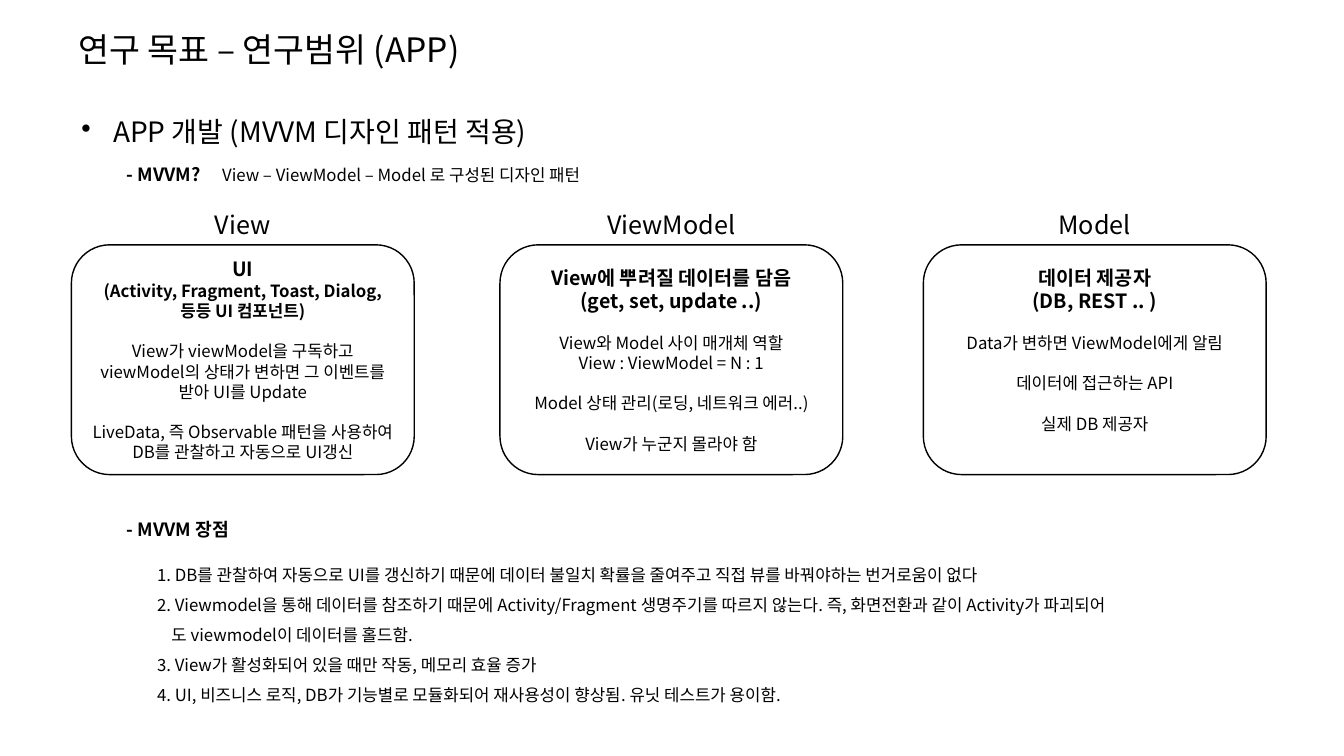
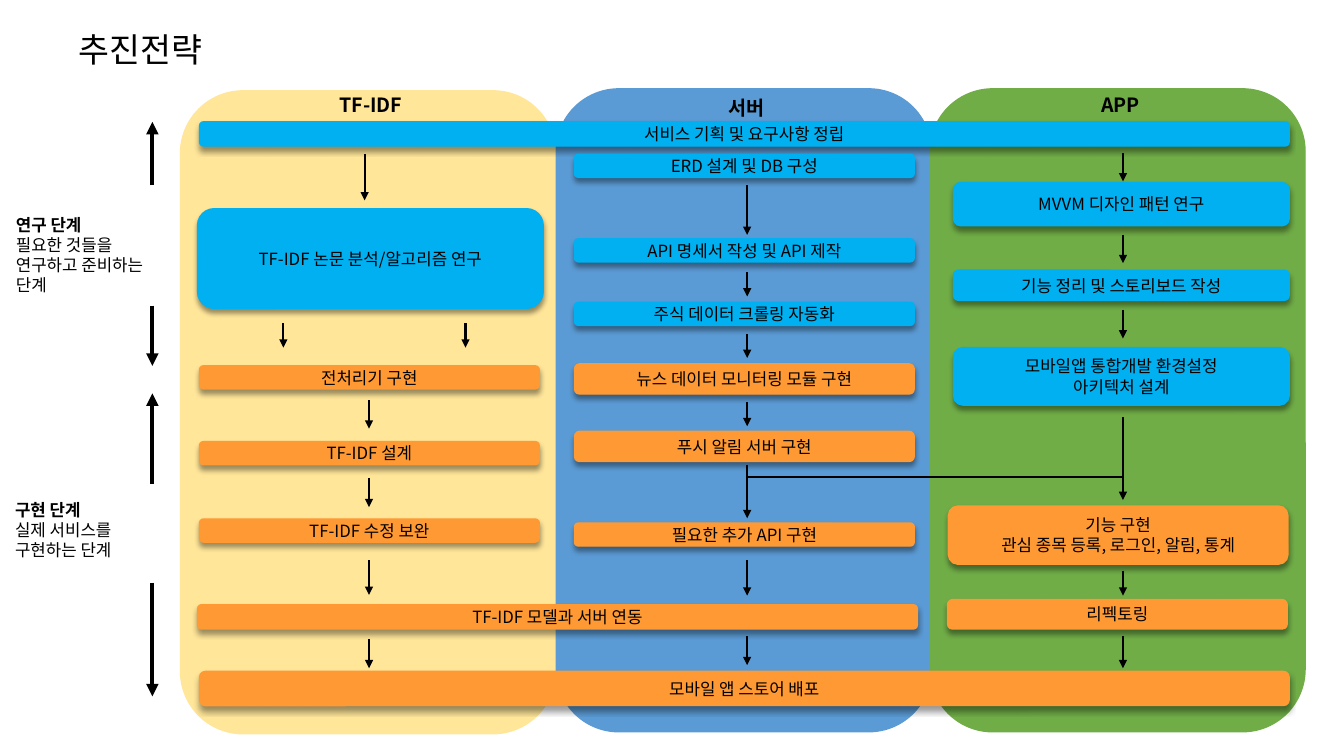
"""Build two slides on the app's MVVM research scope and its delivery strategy."""
from dataclasses import dataclass

from lxml import etree
from pptx import Presentation
from pptx import util as u
from pptx.dml.color import RGBColor
from pptx.enum import shapes, text
from pptx.oxml.ns import qn


@dataclass(frozen=True)
class Theme:
    font: str = "Noto Sans CJK KR"
    ink: str = "000000"
    paper: str = "FFFFFF"
    yellow: str = "FFE699"
    blue: str = "5B9BD5"
    green: str = "70AD47"
    research: str = "00B0F0"
    build: str = "FF9933"
    title: int = 24
    topic: int = 20
    label: int = 18
    head: int = 14
    lead: int = 13
    body: int = 12


theme = Theme()
LEFT, CENTER = text.PP_ALIGN.LEFT, text.PP_ALIGN.CENTER


def add_block(page, at, lines, fill=None, outline=None, align=LEFT, spacing=None):
    """Add a text box, or a rounded box if filled; a line is text, size, bold, gap."""
    place = [u.Cm(length) for length in at]
    if fill:
        box = page.shapes.add_shape(shapes.MSO_SHAPE.ROUNDED_RECTANGLE, *place)
        box.shadow.inherit = False
        box.fill.solid()
        box.fill.fore_color.rgb = RGBColor.from_string(fill)
        box.line.color.rgb = RGBColor.from_string(outline or fill)
        box.line.width = u.Pt(1)
        box.text_frame.vertical_anchor = text.MSO_ANCHOR.MIDDLE
    else:
        box = page.shapes.add_textbox(*place)
    frame = box.text_frame
    frame.word_wrap = True
    for index, (words, size, bold, gap) in enumerate(lines):
        para = frame.add_paragraph() if index else frame.paragraphs[0]
        para.add_run().text = words
        para.alignment = align
        if spacing:
            para.line_spacing = spacing
        if gap:
            para.space_before = u.Pt(gap)
        para.font.name = theme.font
        para.font.size = u.Pt(size)
        para.font.bold = bold
        para.font.color.rgb = RGBColor.from_string(theme.ink)
        defaults = para._p.pPr.find(qn("a:defRPr"))
        etree.SubElement(defaults, qn("a:ea"), typeface=theme.font)
    return box


deck = Presentation()
deck.slide_width, deck.slide_height = u.Cm(33.87), u.Cm(19.05)
pages = []
for title in ("연구 목표 – 연구범위 (APP)", "추진전략"):
    page = deck.slides.add_slide(deck.slide_layouts[6])
    add_block(page, (1.73, 0.61, 14, 1.27), [(title, theme.title, False, 0)])
    pages.append(page)
scope, strategy = pages

topic = add_block(scope, (1.8, 2.77, 17.63, 1.12),
                  [("APP 개발 (MVVM 디자인 패턴 적용)", theme.topic, False, 0)])
props = topic.text_frame.paragraphs[0]._p.pPr
props.set("marL", str(u.Cm(0.8)))
props.set("indent", str(-u.Cm(0.8)))
bullet = etree.Element(qn("a:buChar"), char="•")
props.insert(0, bullet)

question = add_block(scope, (2.95, 3.99, 14, 0.81), [("- MVVM?\t", theme.lead, True, 0)])
para = question.text_frame.paragraphs[0]
span = para.add_run()
span.text = "View – ViewModel – Model 로 구성된 디자인 패턴"
span.font.size = u.Pt(theme.body)
span.font.bold = False
tabs = etree.Element(qn("a:tabLst"))
etree.SubElement(tabs, qn("a:tab"), pos=str(u.Cm(2.4)), algn="l")
para._p.pPr.insert(0, tabs)

GAP = 14.4
layers = [
    ("View", 1.8, 0.13, [
        ("UI", theme.head, True, 0),
        ("(Activity, Fragment, Toast, Dialog, 등등 UI 컴포넌트)", theme.body, True, 0),
        ("View가 viewModel을 구독하고 viewModel의 상태가 변하면 그 이벤트를 받아 UI를 Update",
         theme.body, False, GAP),
        ("LiveData, 즉 Observable 패턴을 사용하여 DB를 관찰하고 자동으로 UI갱신",
         theme.body, False, GAP)]),
    ("ViewModel", 12.6, 0.13, [
        ("View에 뿌려질 데이터를 담음", theme.head, True, 0),
        ("(get, set, update ..)", theme.head, True, 0),
        ("View와 Model 사이 매개체 역할", theme.body, False, GAP),
        ("View : ViewModel = N : 1", theme.body, False, 0),
        ("Model 상태 관리(로딩, 네트워크 에러..)", theme.body, False, GAP),
        ("View가 누군지 몰라야 함", theme.body, False, GAP)]),
    ("Model", 23.27, 0.64, [
        ("데이터 제공자", theme.head, True, 0),
        ("(DB, REST .. )", theme.head, True, 0),
        ("Data가 변하면 ViewModel에게 알림", theme.body, False, GAP),
        ("데이터에 접근하는 API", theme.body, False, GAP),
        ("실제 DB 제공자", theme.body, False, GAP)]),
]
for name, left, bottom, lines in layers:
    add_block(scope, (left, 5.16, 8.64, 1.02), [(name, theme.label, False, 0)], align=CENTER)
    card = add_block(scope, (left, 6.17, 8.64, 5.79), lines, theme.paper, theme.ink, CENTER)
    card.text_frame.margin_bottom = u.Cm(bottom)

add_block(scope, (2.95, 12.93, 14, 0.81), [("- MVVM 장점", theme.lead, True, 0)])
benefits = [
    "1. DB를 관찰하여 자동으로 UI를 갱신하기 때문에 데이터 불일치 확률을 줄여주고 직접 뷰를 바꿔야하는 번거로움이 없다",
    "2. Viewmodel을 통해 데이터를 참조하기 때문에 Activity/Fragment 생명주기를 따르지 않는다. 즉, 화면전환과 같이 Activity가 파괴되어",
    "도 viewmodel이 데이터를 홀드함.",
    "3. View가 활성화되어 있을 때만 작동, 메모리 효율 증가",
    "4. UI, 비즈니스 로직, DB가 기능별로 모듈화되어 재사용성이 향상됨. 유닛 테스트가 용이함.",
]
reasons = add_block(scope, (3.71, 13.84, 26.39, 4.01),
                    [(benefit, theme.body, False, 0) for benefit in benefits], spacing=1.5)
reasons.text_frame.paragraphs[2]._p.pPr.set("marL", str(u.Cm(0.36)))

lanes = [
    ("TF-IDF", 4.55, 2.29, 2.21, theme.yellow),
    ("서버", 14.02, 2.24, 2.29, theme.blue),
    ("APP", 23.44, 2.24, 2.21, theme.green),
]
for name, left, top, label_top, colour in lanes:
    add_block(strategy, (left, top, 9.45, 16.2), [], colour)
    add_block(strategy, (left + 0.2, label_top, 9.2, 0.86),
              [(name, theme.head, True, 0)], align=CENTER)

phases = [
    (0.15, 5.28, "연구 단계", "필요한 것들을 연구하고 준비하는 단계"),
    (0.13, 12.47, "구현 단계", "실제 서비스를 구현하는 단계"),
]
for left, top, name, detail in phases:
    add_block(strategy, (left, top, 4.1, 1.8),
              [(name, theme.body, True, 0), (detail, theme.body, False, 0)])

steps = {
    theme.research: [
        (5.03, 3.07, 27.46, 0.61, "서비스 기획 및 요구사항 정립"),
        (4.98, 5.26, 8.71, 2.51, "TF-IDF 논문 분석/알고리즘 연구"),
        (14.48, 3.89, 8.56, 0.58, "ERD 설계 및 DB 구성"),
        (14.48, 6.02, 8.56, 0.58, "API 명세서 작성 및 API 제작"),
        (14.48, 7.62, 8.56, 0.58, "주식 데이터 크롤링 자동화"),
        (24.03, 4.6, 8.46, 1.09, "MVVM 디자인 패턴 연구"),
        (24.03, 6.81, 8.46, 0.76, "기능 정리 및 스토리보드 작성"),
        (24.03, 8.76, 8.46, 1.45, "모바일앱 통합개발 환경설정\n아키텍처 설계"),
    ],
    theme.build: [
        (5.03, 9.22, 8.56, 0.58, "전처리기 구현"),
        (5.03, 11.13, 8.56, 0.58, "TF-IDF 설계"),
        (5.03, 13.08, 8.56, 0.58, "TF-IDF 수정 보완"),
        (4.98, 15.24, 18.14, 0.61, "TF-IDF 모델과 서버 연동"),
        (14.48, 9.17, 8.56, 0.76, "뉴스 데이터 모니터링 모듈 구현"),
        (14.48, 10.87, 8.56, 0.76, "푸시 알림 서버 구현"),
        (14.48, 13.18, 8.56, 0.58, "필요한 추가 API 구현"),
        (23.9, 12.75, 8.56, 1.47, "기능 구현\n관심 종목 등록, 로그인, 알림, 통계"),
        (23.88, 15.11, 8.56, 0.74, "리펙토링"),
        (5.03, 16.92, 27.46, 0.86, "모바일 앱 스토어 배포"),
    ],
}
for colour, stage in steps.items():
    for *at, words in stage:
        lines = [(line, theme.body, False, 0) for line in words.split("\n")]
        step = add_block(strategy, at, lines, colour, align=CENTER)
        effects = step._element.spPr.find(qn("a:effectLst"))
        shadow = etree.SubElement(effects, qn("a:outerShdw"), blurRad=str(u.Pt(4)),
                                  dist=str(u.Pt(3)), dir="5400000", rotWithShape="0")
        black = etree.SubElement(shadow, qn("a:srgbClr"), val=theme.ink)
        etree.SubElement(black, qn("a:alpha"), val="40000")

flows = [
    (3.84, 3, [(4.67, 3.07), (7.7, 9.22), (12.19, 9.91), (14.68, 17.55)]),
    (9.19, 1.5, [(3.89, 5.05)]),
    (7.14, 1.5, [(8.15, 8.76)]),
    (11.73, 1.5, [(8.15, 8.76)]),
    (9.3, 1.5, [(10.08, 10.8), (12.04, 12.78), (14.12, 14.99), (16.1, 16.84)]),
    (18.83, 1.5, [(4.67, 5.92), (6.86, 7.47), (8.41, 9.02), (10.13, 10.74),
                  (11.71, 13.06), (14.12, 15.01), (16.03, 16.76)]),
    (28.3, 1.5, [(3.86, 4.57), (5.92, 6.63), (7.8, 8.53), (10.52, 12.6),
                 (14.38, 15.01), (16.03, 16.84)]),
]
lines = [(x, start, x, end, width, True) for x, width, spans in flows for start, end in spans]
lines.append((18.83, 12.01, 28.3, 12.01, 1.5, False))
for *ends, width, arrow in lines:
    connector = strategy.shapes.add_connector(
        shapes.MSO_CONNECTOR.STRAIGHT, *[u.Cm(length) for length in ends])
    connector.line.color.rgb = RGBColor.from_string(theme.ink)
    connector.line.width = u.Pt(width)
    if arrow:
        etree.SubElement(connector.line._get_or_add_ln(), qn("a:tailEnd"), type="triangle")
    etree.SubElement(connector._element.spPr, qn("a:effectLst"))

deck.save("out.pptx")
